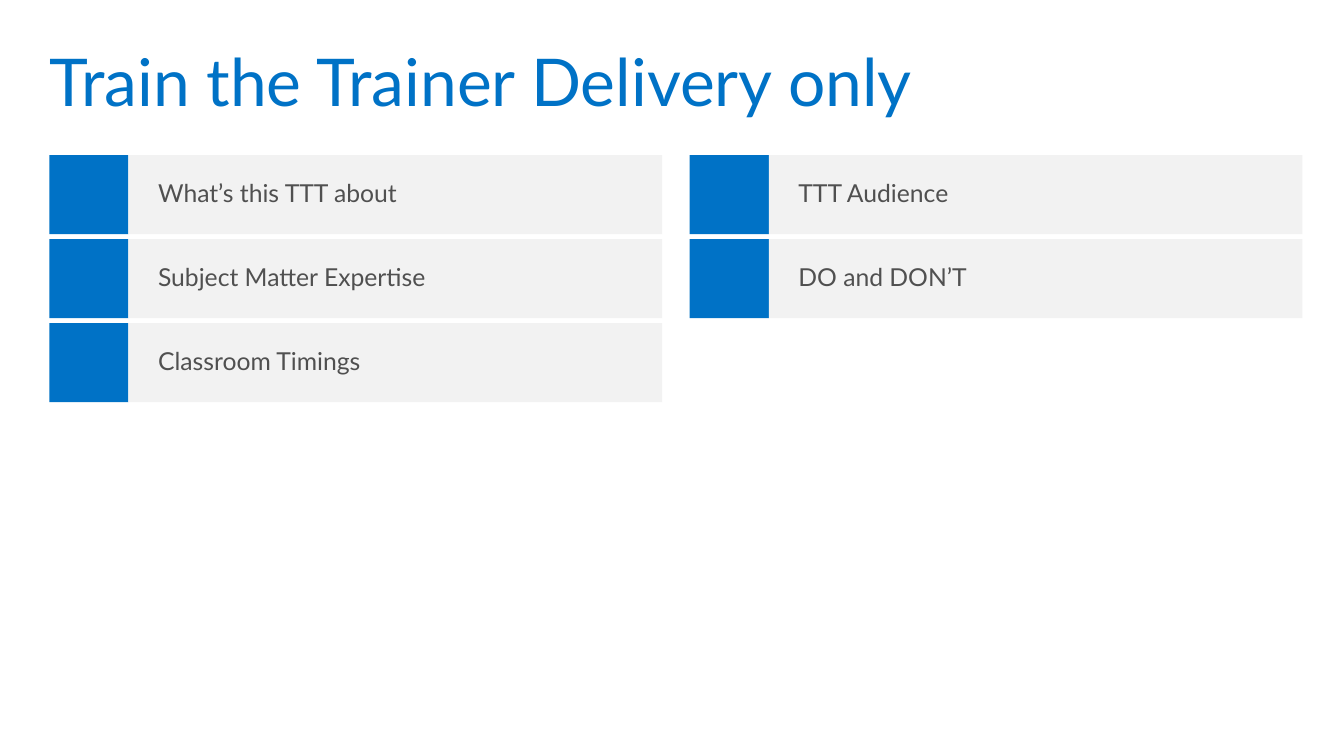
from pptx import Presentation
from pptx.dml.color import RGBColor
from pptx.enum.shapes import MSO_SHAPE
from pptx.enum.text import MSO_ANCHOR, MSO_AUTO_SIZE, PP_ALIGN
from pptx.util import Inches, Pt

BLUE = RGBColor(0x00, 0x72, 0xC6)
GREY = RGBColor(0xF2, 0xF2, 0xF2)
TEXT = RGBColor(0x50, 0x50, 0x50)
FONT = "Lato"

ROW_H = 0.8
ROW_PITCH = 0.85
LEFT_TOPICS = ["What’s this TTT about", "Subject Matter Expertise", "Classroom Timings"]
RIGHT_TOPICS = ["TTT Audience", "DO and DON’T"]


def write_text(shape, text, size, color, anchor, side_inset):
    """Write one left-aligned line of text into a shape."""
    tf = shape.text_frame
    tf.word_wrap = True
    tf.auto_size = MSO_AUTO_SIZE.NONE
    tf.vertical_anchor = anchor
    tf.margin_left = tf.margin_right = Inches(side_inset)
    tf.margin_top = tf.margin_bottom = Inches(0.1)
    p = tf.paragraphs[0]
    p.alignment = PP_ALIGN.LEFT
    p.line_spacing = 0.9
    r = p.add_run()
    r.text = text
    r.font.name = FONT
    r.font.size = Pt(size)
    r.font.color.rgb = color


def add_title(s, text, x, y, w, h):
    """Move the title placeholder to the given box and fill it in."""
    sp = s.shapes.title
    sp.left, sp.top, sp.width, sp.height = (Inches(v) for v in (x, y, w, h))
    write_text(sp, text, 48, BLUE, MSO_ANCHOR.TOP, 0.1)


def add_bar(s, x, y, w, h, color):
    """Add a plain filled rectangle."""
    sp = s.shapes.add_shape(MSO_SHAPE.RECTANGLE, Inches(x), Inches(y), Inches(w), Inches(h))
    sp.shadow.inherit = False
    sp.fill.solid()
    sp.fill.fore_color.rgb = color
    sp.line.fill.background()
    return sp


def add_topics(s, topics, x, y, w):
    """Stack topic rows, each a blue square followed by a grey label."""
    for i, topic in enumerate(topics):
        top = y + i * ROW_PITCH
        add_bar(s, x, top, ROW_H, ROW_H, BLUE)
        label = add_bar(s, x + ROW_H, top, w - ROW_H, ROW_H, GREY)
        write_text(label, topic, 18, TEXT, MSO_ANCHOR.MIDDLE, 0.3)


def build_agenda(prs):
    """Build the agenda slide with its two columns of topics."""
    s = prs.slides.add_slide(prs.slide_layouts[5])
    add_title(s, "Train the Trainer Delivery only", 0.4, 0.4, 12.8, 1)
    add_topics(s, LEFT_TOPICS, 0.5, 1.57, 6.2)
    add_topics(s, RIGHT_TOPICS, 6.98, 1.57, 6.2)


prs = Presentation()
prs.slide_width, prs.slide_height = Inches(13.6), Inches(7.65)
build_agenda(prs)
prs.save("out.pptx")
